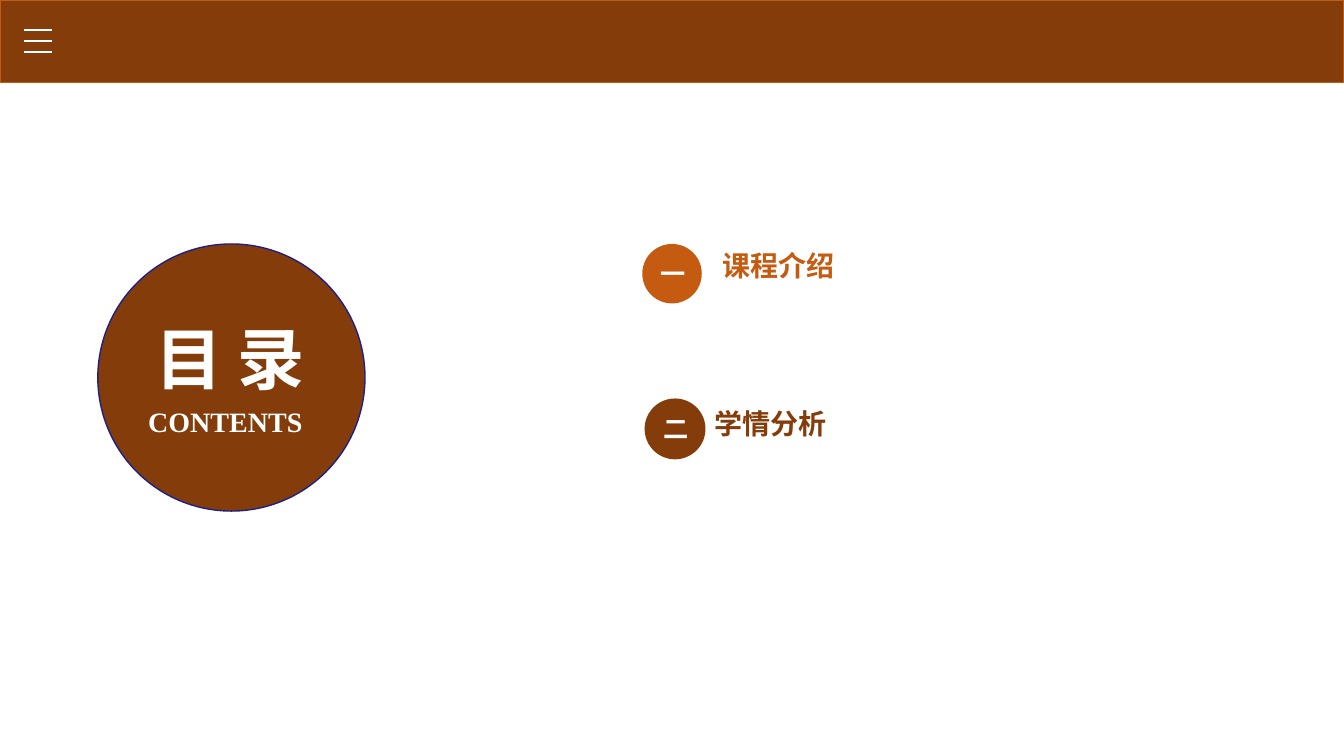
from lxml import etree
from pptx import Presentation
from pptx.dml.color import RGBColor
from pptx.enum import shapes, text
from pptx.oxml.ns import qn
from pptx.util import Inches, Pt

BROWN, ORANGE, NAVY, WHITE = "843C0B", "C55A11", "1D2087", "FFFFFF"
CJK, SERIF = "Noto Sans CJK SC", "Times New Roman"

SLIDE_SIZE = (13.33, 7.5)
BANNER = (0, 0, 13.33, 0.82)
MENU = {"left": 0.24, "right": 0.52, "top": 0.3, "gap": 0.11, "bars": 3}
DISC = (0.97, 2.42, 2.65, 2.65)
HEADING = ("目 录", (1.33, 3.1, 1.91, 0.91))
SUBHEADING = ("CONTENTS", (1.23, 3.96, 2.01, 0.44))
BADGE_SIZE = 0.59
CHAPTERS = [
    {"number": "一", "badge": (6.37, 2.42), "color": ORANGE, "outline": None,
     "name": "课程介绍", "label": (7.07, 2.42, 2.77, 0.44)},
    {"number": "二", "badge": (6.4, 3.96), "color": BROWN, "outline": BROWN,
     "name": "学情分析", "label": (6.99, 3.98, 3.32, 0.44)},
]
LEFT, CENTER = text.PP_ALIGN.LEFT, text.PP_ALIGN.CENTER
TOP, MIDDLE = text.MSO_ANCHOR.TOP, text.MSO_ANCHOR.MIDDLE
GROW, FIXED = text.MSO_AUTO_SIZE.SHAPE_TO_FIT_TEXT, text.MSO_AUTO_SIZE.NONE


def rgb(value):
    return RGBColor.from_string(value)


def inches(values):
    return [Inches(value) for value in values]


def apply(target, formats):
    for name, value in formats.items():
        setattr(target, name, value)


def write(holder, words, size, color, align=CENTER, face=CJK, anchor=TOP, fit=GROW):
    frame = holder.text_frame
    apply(frame, {"word_wrap": True, "vertical_anchor": anchor, "auto_size": fit})
    paragraph = frame.paragraphs[0]
    paragraph.alignment = align
    run = paragraph.add_run()
    run.text = words
    apply(run.font, {"name": face, "size": Pt(size), "bold": True})
    run.font.color.rgb = rgb(color)
    east_asian = etree.SubElement(run._r.get_or_add_rPr(), qn("a:ea"))
    east_asian.set("typeface", face)


def draw(slide, kind, box, fill, outline=None):
    shape = slide.shapes.add_shape(kind, *inches(box))
    shape.shadow.inherit = False
    shape.fill.solid()
    shape.fill.fore_color.rgb = rgb(fill)
    if outline:
        shape.line.color.rgb = rgb(outline)
        shape.line.width = Pt(1)
    else:
        shape.line.fill.background()
    return shape


def add_menu(slide):
    for index in range(MENU["bars"]):
        y = MENU["top"] + index * MENU["gap"]
        bar = slide.shapes.add_connector(
            shapes.MSO_CONNECTOR.STRAIGHT, *inches((MENU["left"], y, MENU["right"], y)))
        bar.line.color.rgb = rgb(WHITE)
        bar.line.width = Pt(1.5)
        etree.SubElement(bar.element.spPr, qn("a:effectLst"))


def add_heading(slide):
    draw(slide, shapes.MSO_SHAPE.OVAL, DISC, BROWN, NAVY)
    words, box = HEADING
    heading = slide.shapes.title
    apply(heading, dict(zip(("left", "top", "width", "height"), inches(box))))
    slide.shapes.element.append(heading.element)
    write(heading, words, 48, WHITE)
    words, box = SUBHEADING
    subheading = slide.shapes.add_textbox(*inches(box))
    write(subheading, words, 20, WHITE, face=SERIF)


def add_chapter(slide, chapter):
    box = (*chapter["badge"], BADGE_SIZE, BADGE_SIZE)
    badge = draw(slide, shapes.MSO_SHAPE.OVAL, box, chapter["color"], chapter["outline"])
    write(badge, chapter["number"], 18, WHITE, anchor=MIDDLE, fit=FIXED)
    label = slide.shapes.add_textbox(*inches(chapter["label"]))
    write(label, chapter["name"], 20, chapter["color"], align=LEFT)


def main():
    deck = Presentation()
    deck.slide_width, deck.slide_height = inches(SLIDE_SIZE)
    slide = deck.slides.add_slide(deck.slide_layouts.get_by_name("Title Only"))
    draw(slide, shapes.MSO_SHAPE.RECTANGLE, BANNER, BROWN, ORANGE)
    add_menu(slide)
    add_heading(slide)
    for chapter in CHAPTERS:
        add_chapter(slide, chapter)
    deck.save("out.pptx")


if __name__ == "__main__":
    main()
